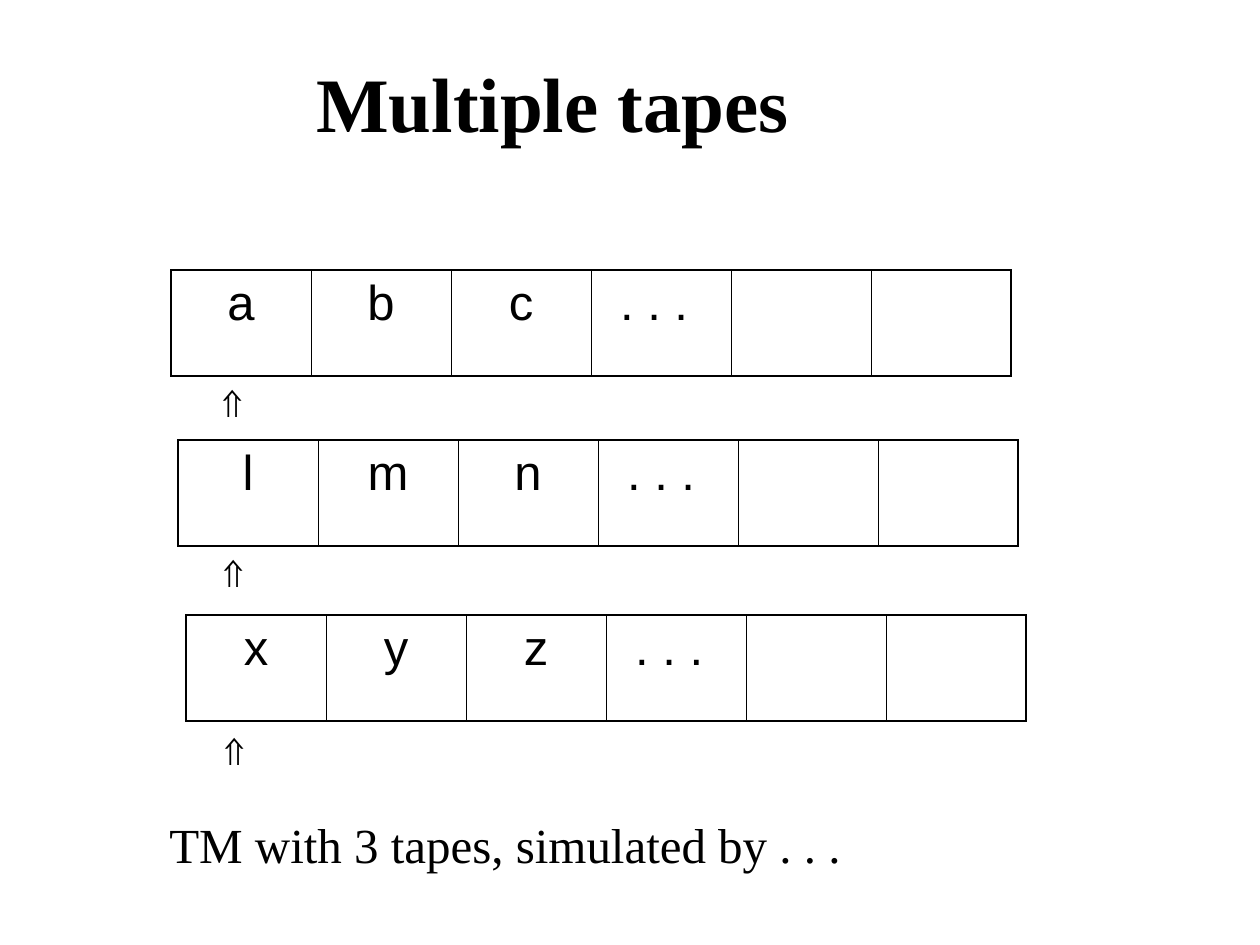
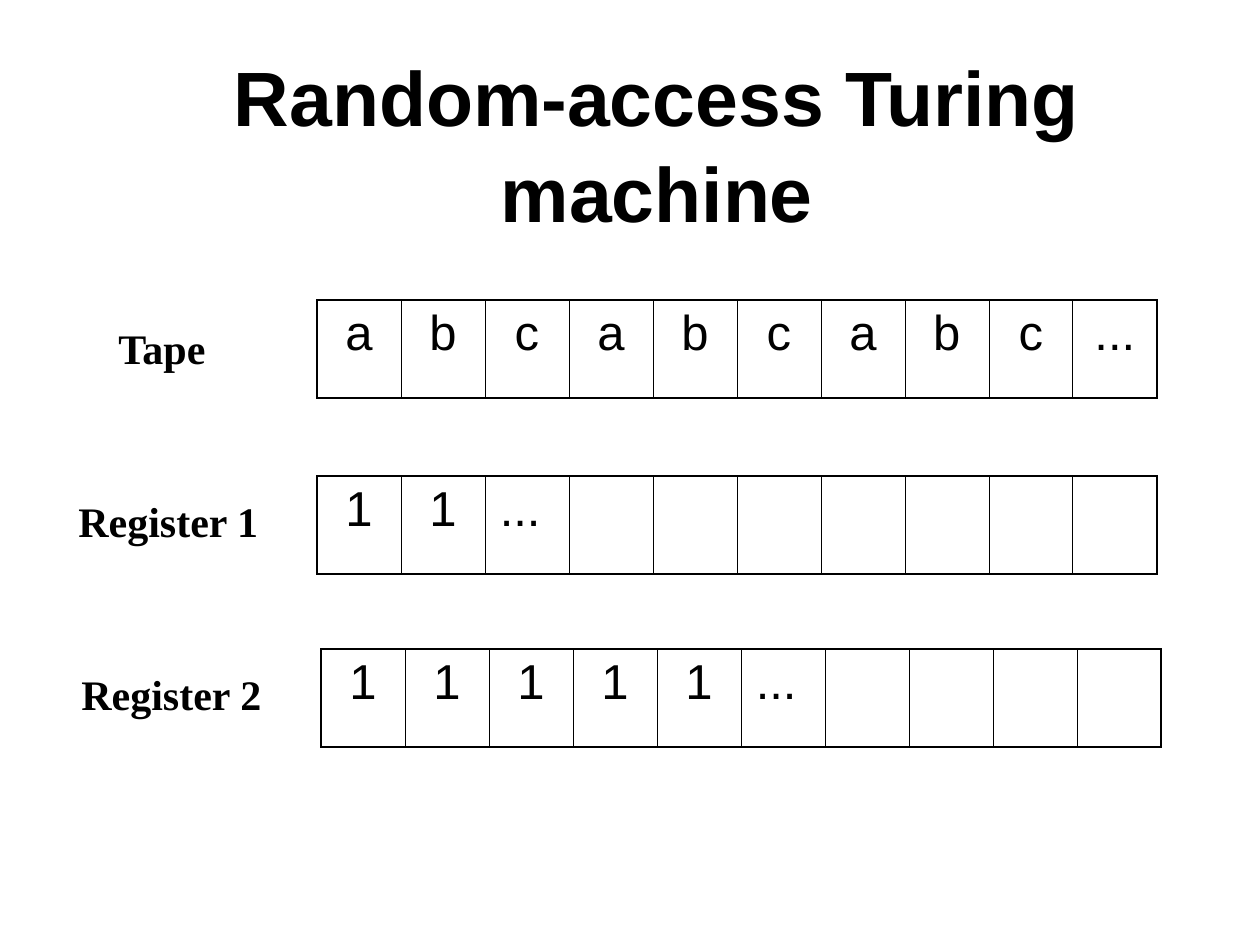
from lxml.etree import SubElement
from pptx import Presentation
from pptx.dml.color import RGBColor
from pptx.enum.text import MSO_ANCHOR, PP_ALIGN
from pptx.oxml import parse_xml
from pptx.oxml.ns import nsdecls, qn
from pptx.util import Pt

PX = 914400 / 126
WIDE, HIGH = 1260, 945
COLORS = {"ink": "000000"}
SANS, SERIF = "Arial", "Times New Roman"
THICK, THIN = 1.08, 0.45


def emu(*sizes):
    return [round(size * PX) for size in sizes]


def style(para, font, size, bold=False):
    para.font.name = font
    para.font.size = Pt(size)
    para.font.bold = bold
    para.font.color.rgb = RGBColor.from_string(COLORS["ink"])


def label(slide, box, text, font, size, bold=False):
    """Wrapped text box; returns its text frame."""
    frame = slide.shapes.add_textbox(*emu(*box)).text_frame
    frame.word_wrap = True
    frame.text = text
    style(frame.paragraphs[0], font, size, bold)
    return frame


def border(cell, first, last):
    """Thick rules around the strip, thin ones between its cells."""
    widths = {
        "lnL": THICK if first else THIN,
        "lnR": THICK if last else THIN,
        "lnT": THICK,
        "lnB": THICK,
    }
    props = cell._tc.get_or_add_tcPr()
    for spot, (side, width) in enumerate(widths.items()):
        line = parse_xml(f'<a:{side} {nsdecls("a")} w="{Pt(width)}"/>')
        fill = SubElement(line, qn("a:solidFill"))
        SubElement(fill, qn("a:srgbClr"), val=COLORS["ink"])
        props.insert(spot, line)


def strip(slide, box, marks, count):
    """One-row tape of equal cells, filled from the left."""
    table = slide.shapes.add_table(1, count, *emu(*box)).table
    table.first_row = table.horz_banding = False
    for col in range(count):
        table.columns[col].width = round(box[2] * PX / count)
        cell = table.cell(0, col)
        cell.fill.background()
        border(cell, col == 0, col == count - 1)
        if col < len(marks):
            cell.text = marks[col]
        para = cell.text_frame.paragraphs[0]
        para.alignment = PP_ALIGN.CENTER
        style(para, SANS, 28)


def tapes(slide):
    label(slide, (304, 49, 769, 106), "Multiple tapes", SERIF, 44, True)

    # Tapes, each with its head below the first cell
    rows = [
        (171, 270, 205, 369, "abc"),
        (178, 440, 206, 539, "lmn"),
        (186, 615, 207, 717, "xyz"),
    ]
    for left, top, head, foot, marks in rows:
        strip(slide, (left, top, 840, 106), [*marks, ". . . "], 6)
        label(slide, (head, foot, 83, 63), "⇑", SANS, 24)

    # Closing line
    label(slide, (157, 808, 816, 72), "TM with 3 tapes, simulated by . . .", SERIF, 28)


def machine(slide):
    # Centred title
    title = label(slide, (94, 63, 1126, 158), "Random-access Turing machine", SANS, 44, True)
    title.vertical_anchor = MSO_ANCHOR.MIDDLE
    title.paragraphs[0].alignment = PP_ALIGN.CENTER
    title.paragraphs[0].line_spacing = 1.04

    # Named strips
    rows = [
        ("Tape", 106, 316, 317, 300, [*"abcabcabc", "..."]),
        ("Register 1", 66, 489, 317, 476, [*"11", "... "]),
        ("Register 2", 69, 662, 321, 649, [*"11111", "... "]),
    ]
    for name, side, rise, left, top, marks in rows:
        label(slide, (side, rise, 224, 63), name, SERIF, 24, True)
        strip(slide, (left, top, 840, 98), marks, 10)


def main():
    deck = Presentation()
    deck.slide_width, deck.slide_height = emu(WIDE, HIGH)
    for build in (tapes, machine):
        build(deck.slides.add_slide(deck.slide_layouts[6]))
    deck.save("out.pptx")


if __name__ == "__main__":
    main()
